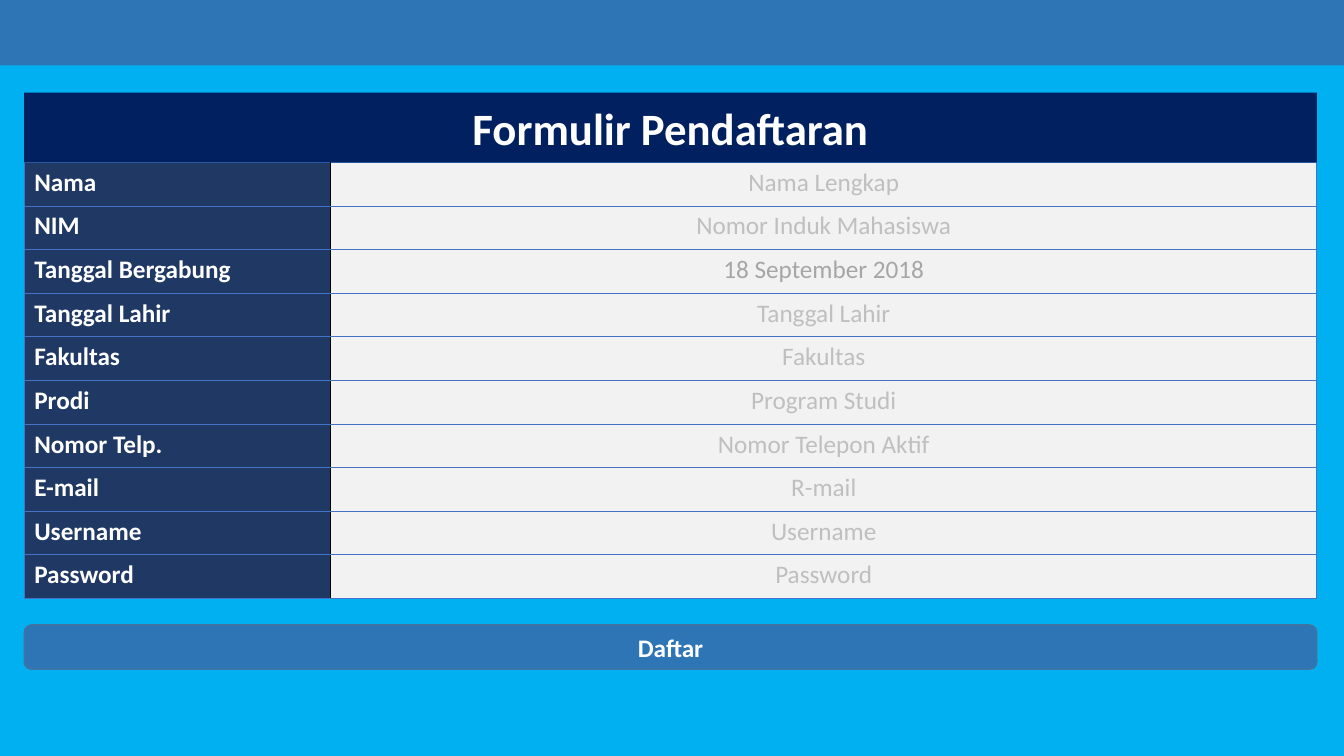
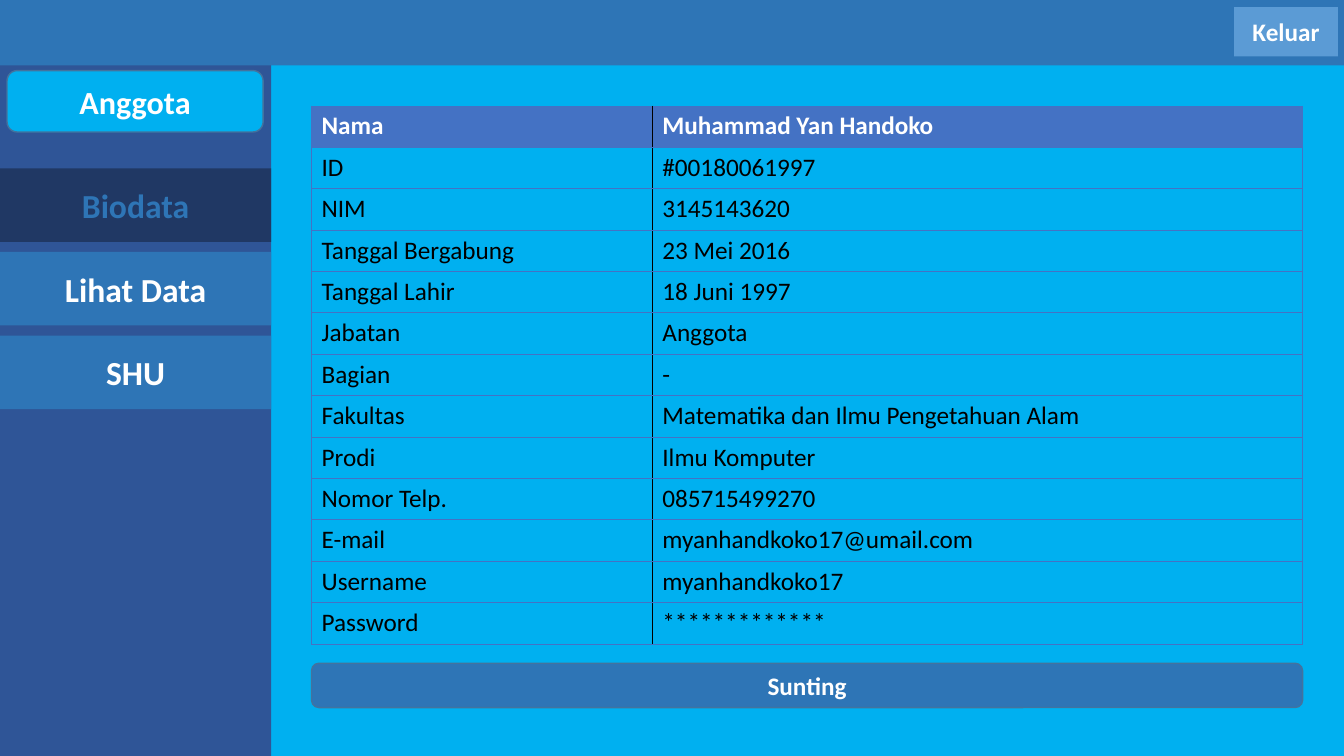
from lxml.etree import SubElement
from pptx import Presentation
from pptx.dml.color import RGBColor
from pptx.enum.shapes import MSO_SHAPE as SHAPE
from pptx.enum.text import MSO_ANCHOR as ANCHOR, PP_ALIGN as ALIGN
from pptx.oxml.ns import qn
from pptx.util import Inches, Pt

FONT = "Calibri"
WIDTH, HEIGHT = 13.33, 7.5
BAND_HEIGHT = 0.65
COLORS = {
    "page": "00B0F0", "band": "2E75B6", "sidebar": "2F5597",
    "navy": "203864", "title": "002060", "logout": "5B9BD5",
    "outline": "43739E", "grid": "4472C4", "field": "F2F2F2",
    "hint": "BFBFBF", "preset": "A6A6A6", "white": "FFFFFF", "black": "000000",
}

REGISTRATION = [
    ("Nama", "Nama Lengkap"),
    ("NIM", "Nomor Induk Mahasiswa"),
    ("Tanggal Bergabung", "18 September 2018"),
    ("Tanggal Lahir", "Tanggal Lahir"),
    ("Fakultas", "Fakultas"),
    ("Prodi", "Program Studi"),
    ("Nomor Telp.", "Nomor Telepon Aktif"),
    ("E-mail", "R-mail"),
    ("Username", "Username"),
    ("Password", "Password"),
]
BIODATA = [
    ("Nama", "Muhammad Yan Handoko"),
    ("ID", "#00180061997"),
    ("NIM", "3145143620"),
    ("Tanggal Bergabung", "23 Mei 2016"),
    ("Tanggal Lahir", "18 Juni 1997"),
    ("Jabatan", "Anggota"),
    ("Bagian", "-"),
    ("Fakultas", "Matematika dan Ilmu Pengetahuan Alam"),
    ("Prodi", "Ilmu Komputer"),
    ("Nomor Telp.", "085715499270"),
    ("E-mail", "myanhandkoko17@umail.com"),
    ("Username", "myanhandkoko17"),
    ("Password", "*************"),
]


def rgb(name):
    return RGBColor.from_string(COLORS[name])


def write(frame, text, size, color, bold, align):
    paragraph = frame.paragraphs[0]
    paragraph.alignment = align
    run = paragraph.add_run()
    run.text = text
    run.font.name, run.font.size, run.font.bold = FONT, Pt(size), bold
    run.font.color.rgb = rgb(color)


# Shared parts: page, panels, buttons
def add_panel(slide, box, fill, text="", size=18, color="white",
              kind=SHAPE.RECTANGLE, outline=None):
    panel = slide.shapes.add_shape(kind, *map(Inches, box))
    panel.shadow.inherit = False
    panel.fill.solid()
    panel.fill.fore_color.rgb = rgb(fill)
    if outline:
        panel.line.color.rgb = rgb(outline)
        panel.line.width = Pt(1)
    else:
        panel.line.fill.background()
    if text:
        panel.text_frame.word_wrap = True
        panel.text_frame.vertical_anchor = ANCHOR.MIDDLE
        write(panel.text_frame, text, size, color, True, ALIGN.CENTER)


def add_button(slide, box, text, fill="band", size=18):
    add_panel(slide, box, fill, text, size,
              kind=SHAPE.ROUNDED_RECTANGLE, outline="outline")


def add_band(slide):
    add_panel(slide, (0, 0, WIDTH, BAND_HEIGHT), "band")


def add_page(prs):
    slide = prs.slides.add_slide(prs.slide_layouts[6])
    slide.background.fill.solid()
    slide.background.fill.fore_color.rgb = rgb("page")
    return slide


# Two-column tables
def set_borders(cell, divider):
    """Draw the thin grid, with a black divider on the side named."""
    properties = cell._tc.get_or_add_tcPr()
    for side in ("lnL", "lnR", "lnT", "lnB"):
        color, width = ("black", 1) if side == divider else ("grid", 0.5)
        line = SubElement(properties, qn(f"a:{side}"), w=str(Pt(width)))
        fill = SubElement(line, qn("a:solidFill"))
        SubElement(fill, qn("a:srgbClr"), val=COLORS[color])


def add_records(slide, box, label_width, records, cell_style):
    """cell_style(row, column) gives fill, text colour, bold and alignment."""
    left, top, width, height = box
    table = slide.shapes.add_table(len(records), 2, *map(Inches, box)).table
    table.first_row = table.horz_banding = False
    table.columns[0].width = Inches(label_width)
    table.columns[1].width = Inches(width - label_width)
    for row, record in enumerate(records):
        table.rows[row].height = Inches(height / len(records))
        for column, text in enumerate(record):
            cell = table.cell(row, column)
            set_borders(cell, ("lnR", "lnL")[column])
            fill, color, bold, align = cell_style(row, column)
            if fill:
                cell.fill.solid()
                cell.fill.fore_color.rgb = rgb(fill)
            else:
                cell.fill.background()
            write(cell.text_frame, text, 18, color, bold, align)


def form_style(row, column):
    if column == 0:
        return "navy", "white", True, ALIGN.LEFT
    filled_in = REGISTRATION[row][0] == "Tanggal Bergabung"
    return "field", "preset" if filled_in else "hint", False, ALIGN.CENTER


def biodata_style(row, column):
    if row == 0:
        return "grid", "white", True, ALIGN.LEFT
    return None, "black", False, ALIGN.LEFT


# Slides
def build_registration(prs):
    slide = add_page(prs)
    add_band(slide)
    left, width = 0.24, 12.82
    add_records(slide, (left, 1.61, width, 4.33), 3.04, REGISTRATION, form_style)
    add_button(slide, (left, 6.2, width, 0.44), "Daftar")
    add_panel(slide, (left, 0.92, width, 0.69), "title", "Formulir Pendaftaran", 32)


def build_biodata(prs):
    slide = add_page(prs)
    sidebar_width = 2.69
    add_panel(slide, (0, 0, sidebar_width, HEIGHT), "sidebar")
    menu = [("Biodata", "navy", "band"), ("Lihat Data", "band", "white"),
            ("SHU", "band", "white")]
    for index, (text, fill, color) in enumerate(menu):
        add_panel(slide, (0, 1.67 + 0.83 * index, sidebar_width, 0.73),
                  fill, text, 24, color)
    add_band(slide)
    left, width = 3.09, 9.83
    add_records(slide, (left, 1.05, width, 5.34), 3.38, BIODATA, biodata_style)
    add_panel(slide, (12.24, 0.07, 1.03, 0.49), "logout", "Keluar")
    add_button(slide, (0.07, 0.7, 2.54, 0.61), "Anggota", "page", 23)
    add_button(slide, (left, 6.58, width, 0.44), "Sunting")


def main():
    prs = Presentation()
    prs.slide_width, prs.slide_height = Inches(WIDTH), Inches(HEIGHT)
    build_registration(prs)
    build_biodata(prs)
    prs.save("out.pptx")


if __name__ == "__main__":
    main()
